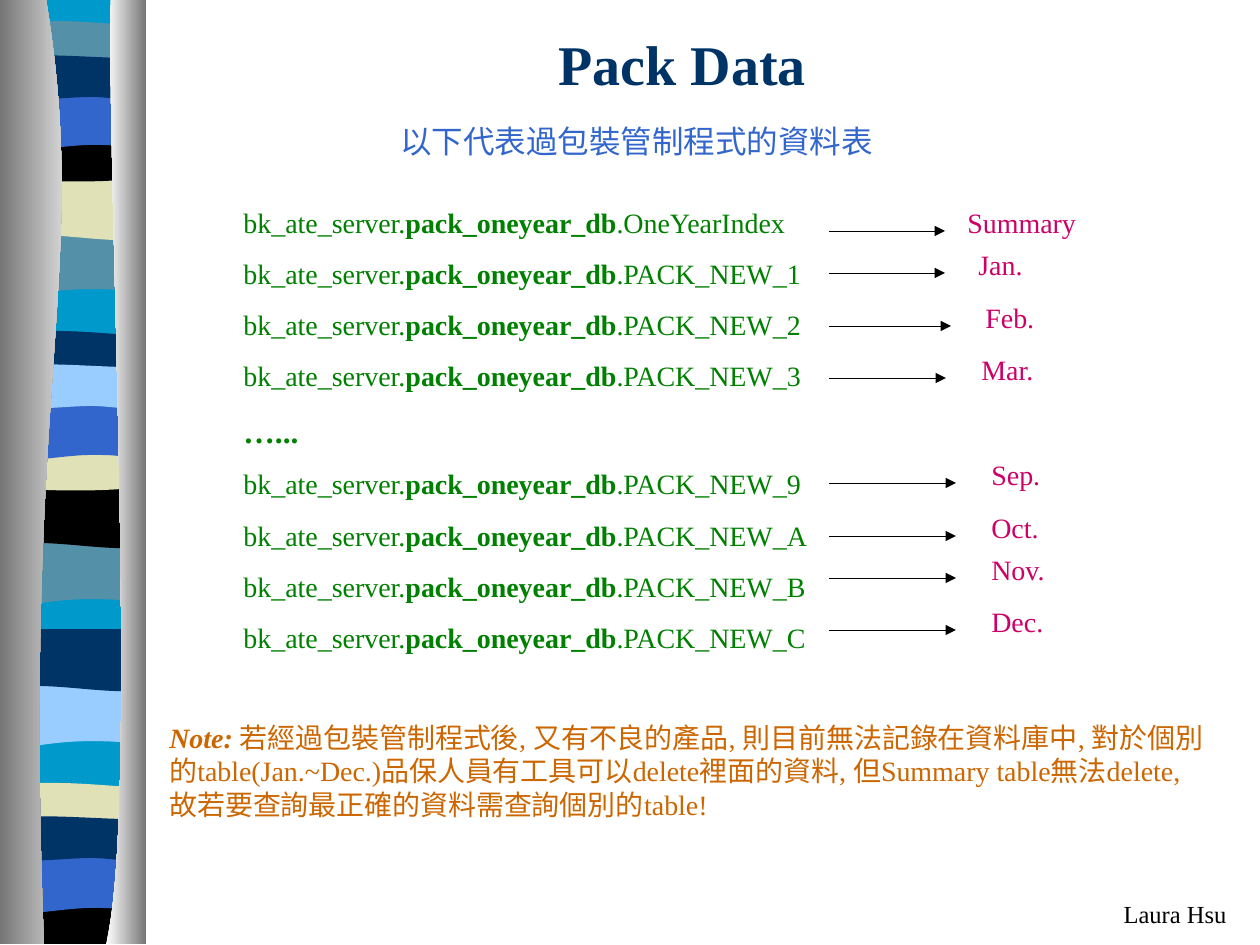
from dataclasses import dataclass

from lxml.etree import SubElement
from pptx import Presentation
from pptx.dml.color import RGBColor
from pptx.enum.shapes import MSO_CONNECTOR
from pptx.enum.text import MSO_ANCHOR, PP_ALIGN
from pptx.oxml.ns import qn
from pptx.util import Emu, Pt

SCALE = 914400 / 126


@dataclass(frozen=True)
class Theme:
    font: str = "Times New Roman"
    black: str = "000000"
    navy: str = "003366"
    blue: str = "3366CC"
    aqua: str = "0099CC"
    steel: str = "5490A8"
    sand: str = "E1E1B7"
    sky: str = "99CCFF"
    green: str = "008000"
    pink: str = "CC0066"
    amber: str = "CC6600"
    gray: str = "767676"
    white: str = "FFFFFF"
    title: int = 32
    lead: int = 18
    body: int = 16
    foot: int = 14


T = Theme()
LEFT, RIGHT = 7, 143

# Pieces of band edges: one point for a line, three for a Bezier curve.
# Each point is x, and y measured from the edge's ends.
# Top edges run left to right, bottom edges right to left.
LEVEL = [[(RIGHT, 0)]]
CROWN = [[(15, -6), (37, -5), (59, -5)], [(82, -5), (126, -1), (RIGHT, 0)]]
SAG = [[(91, 6), (115, 0), (RIGHT, 0)]]
LIFT = [[(26, -6), (100, 0), (122, 0)], [(145, 0), (139, 0), (RIGHT, 0)]]
FLOOR = [[(LEFT, 0)]]
WAVE = [[(49, -10), (30, 10), (LEFT, 0)]]
SWELL = [[(121, 10), (49, -8), (LEFT, 0)]]
BULGE = [[(121, 6), (30, 6), (LEFT, 0)]]
ARCH = [[(122, -7), (113, -7), (91, -7)], [(68, -7), (28, 0), (LEFT, 0)]]
DIP = [[(135, 6), (113, 0), (91, 0)], [(68, 0), (21, 6), (LEFT, 0)]]

# Kind of band: top edge, bottom edge, height
KINDS = {
    "slab": (LEVEL, WAVE, 59), "swell": (LEVEL, SWELL, 59),
    "thin": (CROWN, BULGE, 30), "sag": (SAG, BULGE, 41),
    "arch": (LEVEL, ARCH, 59), "dip": (LIFT, DIP, 39),
    "base": (LEVEL, FLOOR, 943), "end": (SAG, FLOOR, 47),
}
BANDS = [
    ("base", -1, T.aqua),
    ("slab", 233, T.steel), ("swell", 178, T.sand), ("thin", 26, T.steel),
    ("sag", 136, T.black), ("arch", 93, T.blue), ("dip", 58, T.navy),
    ("slab", 543, T.steel), ("swell", 486, T.black), ("thin", 336, T.navy),
    ("sag", 445, T.sand), ("arch", 403, T.blue), ("dip", 367, T.sky),
    ("slab", 685, T.sky), ("swell", 629, T.navy), ("thin", 788, T.sand),
    ("end", 897, T.black), ("arch", 856, T.blue), ("dip", 819, T.navy),
]

# Label, y of its arrow, x of the arrow's tip, x of the label
MONTHS = [
    ("Summary", 231, 945, 955), ("Jan.", 273, 945, 966),
    ("Feb.", 326, 951, 973), ("Mar.", 378, 946, 969),
    ("Sep.", 483, 956, 979), ("Oct.", 536, 956, 979),
    ("Nov.", 578, 956, 979), ("Dec.", 630, 956, 979),
]
DOTS = "…..."
TABLES = ["OneYearIndex", "PACK_NEW_1", "PACK_NEW_2", "PACK_NEW_3", DOTS,
          "PACK_NEW_9", "PACK_NEW_A", "PACK_NEW_B", "PACK_NEW_C"]
NOTE = ("若經過包裝管制程式後, 又有不良的產品, 則目前無法記錄在資料庫中, "
        "對於個別的table(Jan.~Dec.)品保人員有工具可以delete裡面的資料, "
        "但Summary table無法delete, 故若要查詢最正確的資料需查詢個別的table!")


def px(num):
    return Emu(round(num * SCALE))


def rgb(code):
    return RGBColor.from_string(code)


def add_free(slide, start, parts):
    """Outline whose parts are lines (one point) or curves (three)."""
    pen = slide.shapes.build_freeform(*map(px, start))
    pen.add_line_segments(
        [(px(x), px(y)) for part in parts for x, y in part], close=True)
    shape = pen.convert_to_shape()
    nodes = iter(list(shape._element.iter(qn("a:lnTo"))))
    for part in parts:
        head, *rest = [next(nodes) for _ in part]
        if rest:
            head.tag = qn("a:cubicBezTo")
        for node in rest:
            head.append(node[0])
            node.getparent().remove(node)
    shape.shadow.inherit = False
    shape.line.fill.background()
    return shape


def add_band(slide, kind, y, color):
    top, low, high = KINDS[kind]

    def edge(base, parts):
        return [[(x, base + dy) for x, dy in part] for part in parts]

    parts = edge(y, top) + [[(RIGHT, y + high)]] + edge(y + high, low)
    fill = add_free(slide, (LEFT, y), parts).fill
    fill.solid()
    fill.fore_color.rgb = rgb(color)


def add_drape(slide, start, bend, side, colors):
    parts = [bend, [(side, 944)], [(side, -1)]]
    fill = add_free(slide, start, parts).fill
    fill.gradient()
    fill.gradient_angle = 0
    for stop, color in zip(fill.gradient_stops, colors):
        stop.color.rgb = rgb(color)


def style(run, size, color, bold=False, italic=False):
    font = run.font
    font.name, font.size = T.font, Pt(size)
    font.color.rgb = rgb(color)
    font.bold, font.italic = bold, italic


def add_text(slide, box, text, size, color):
    frame = slide.shapes.add_textbox(*map(px, box)).text_frame
    frame.word_wrap = True
    frame.text = text
    for run in frame.paragraphs[0].runs:
        style(run, size, color)
    return frame


def add_title(slide, text):
    title = slide.shapes.title
    title.left, title.top, title.width, title.height = map(
        px, (168, 32, 1029, 63))
    frame = title.text_frame
    frame.text = text
    frame.vertical_anchor = MSO_ANCHOR.MIDDLE
    frame.paragraphs[0].alignment = PP_ALIGN.CENTER
    style(frame.paragraphs[0].runs[0], T.title, T.navy, bold=True)


def add_arrow(slide, x, y, tip):
    """Hairline arrow, free of the theme's line style."""
    line = slide.shapes.add_connector(
        MSO_CONNECTOR.STRAIGHT, px(x), px(y), px(tip), px(y))
    line.line.color.rgb = rgb(T.black)
    root = line._element
    root.remove(root.find(qn("p:style")))
    SubElement(root.spPr.find(qn("a:ln")), qn("a:tailEnd"), type="triangle")
    SubElement(root.spPr, qn("a:effectLst"))


def add_tables(slide):
    frame = add_text(slide, (231, 199, 609, 461), "", T.body, T.green)
    for i, name in enumerate(TABLES):
        para = frame.add_paragraph() if i else frame.paragraphs[0]
        dots = name == DOTS
        if i:
            para.space_before = Pt(11.2 if dots else 10)
        parts = [(name, True)] if dots else [
            ("bk_ate_server.", False), ("pack_oneyear_db", True),
            ("." + name, False)]
        for text, bold in parts:
            run = para.add_run()
            run.text = text
            style(run, T.lead if dots else T.body, T.green, bold)


def add_note(slide):
    frame = add_text(slide, (157, 714, 1061, 113), "Note: ", T.body, T.amber)
    para = frame.paragraphs[0]
    style(para.runs[0], T.body, T.amber, bold=True, italic=True)
    run = para.add_run()
    run.text = NOTE
    style(run, T.body, T.amber)


def main():
    deck = Presentation()
    deck.slide_width, deck.slide_height = px(1260), px(945)
    slide = deck.slides.add_slide(deck.slide_layouts[5])
    for band in BANDS:
        add_band(slide, *band)
    add_drape(slide, (46, -1), [(91, 272), (22, 373), (44, 944)], 0,
              (T.gray, T.white))
    add_drape(slide, (111, -1), [(106, 158), (140, 814), (106, 944)], 146,
              (T.white, T.gray))
    foot = add_text(slide, (945, 893, 294, 42), "Laura Hsu", T.foot, T.black)
    foot.paragraphs[0].alignment = PP_ALIGN.RIGHT
    add_title(slide, "Pack Data")
    add_tables(slide)
    add_text(slide, (388, 116, 525, 50), "以下代表過包裝管制程式的資料表",
             T.lead, T.blue)
    for label, y, tip, x in MONTHS:
        add_arrow(slide, 829, y, tip)
        wide = 136 if label == "Summary" else 80
        add_text(slide, (x, y - 32, wide, 47), label, T.body, T.pink)
    add_note(slide)
    deck.save("out.pptx")


if __name__ == "__main__":
    main()
